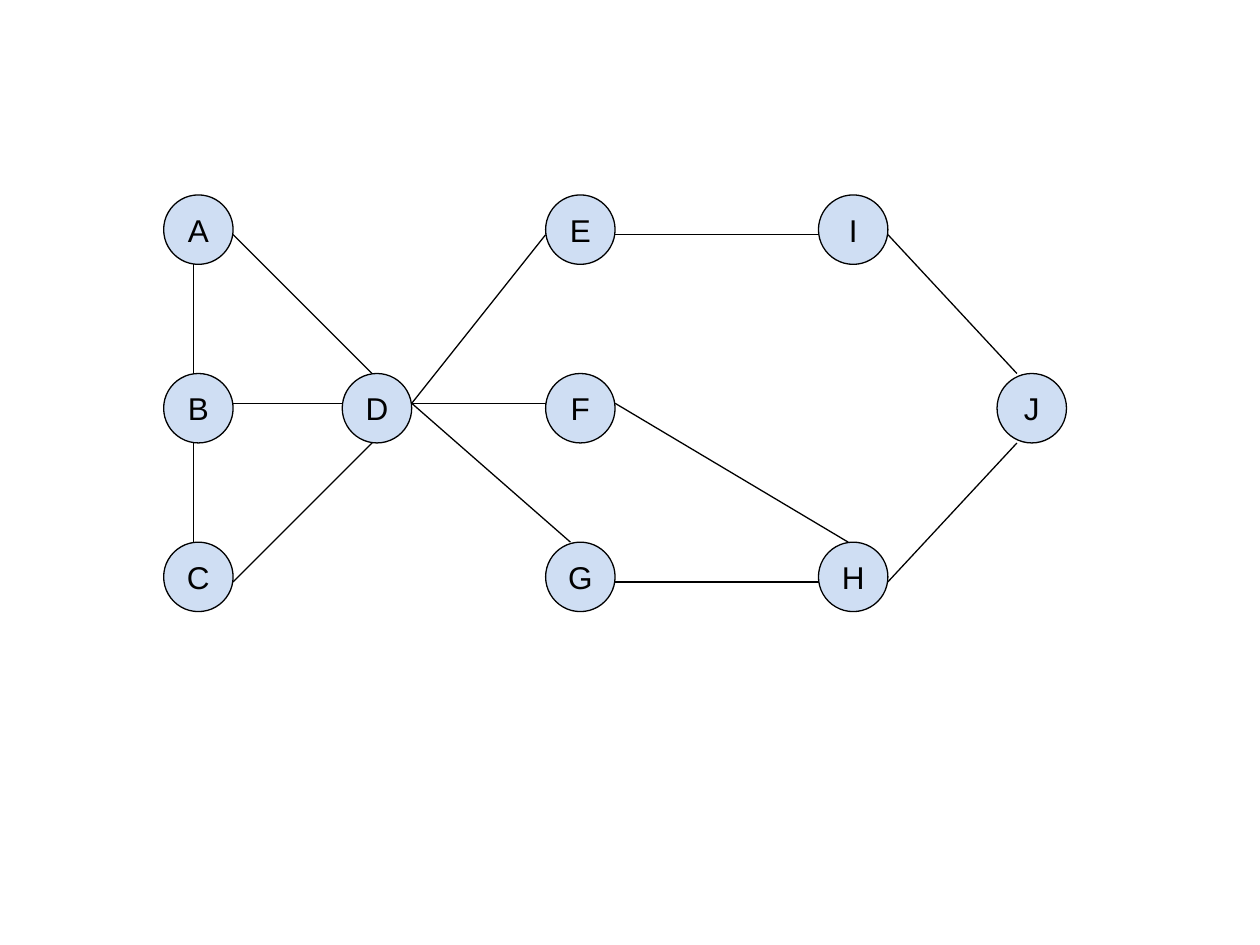
from dataclasses import dataclass

from lxml import etree
from pptx import Presentation
from pptx import util as u
from pptx.dml.color import RGBColor
from pptx.enum import shapes, text
from pptx.oxml import ns


@dataclass(frozen=True)
class Theme:
    node_fill: RGBColor = RGBColor(0xCF, 0xDE, 0xF3)
    ink: RGBColor = RGBColor(0, 0, 0)
    font: str = "Arial"
    label_size: float = 18
    line_width: float = 0.75


# Graph layout, in centimetres
DIAMETER = 1.4
COLUMNS = [3.3, 6.9, 11, 16.5, 20.1]
ROWS = [3.93, 7.53, 10.93]

# Name: (column, row)
NODES = {
    "A": (0, 0), "B": (0, 1), "C": (0, 2), "D": (1, 1), "E": (2, 0),
    "F": (2, 1), "G": (2, 2), "H": (3, 2), "I": (3, 0), "J": (4, 1),
}

# Where edges meet a node: height by row, distance across by node
PORT_Y = [0.8, 0.6, 0.8]
PORT_X = {"G": 0.5, "J": 0.4}
DEFAULT_PORT_X = 0.6

# Start node and side, end node and side
EDGES = [
    ("A", "bottom", "B", "top"),
    ("B", "bottom", "C", "top"),
    ("B", "right", "D", "left"),
    ("A", "right", "D", "top"),
    ("C", "right", "D", "bottom"),
    ("D", "right", "F", "left"),
    ("D", "right", "E", "left"),
    ("D", "right", "G", "top"),
    ("F", "right", "H", "top"),
    ("G", "right", "H", "left"),
    ("E", "right", "I", "left"),
    ("I", "right", "J", "top"),
    ("H", "right", "J", "bottom"),
]


def port(name, side):
    col, row = NODES[name]
    across = PORT_X.get(name, DEFAULT_PORT_X)
    dx, dy = {
        "left": (0, PORT_Y[row]),
        "right": (DIAMETER, PORT_Y[row]),
        "top": (across, 0),
        "bottom": (across, DIAMETER),
    }[side]
    return u.Cm(COLUMNS[col] + dx), u.Cm(ROWS[row] + dy)


class GraphSlide:
    def __init__(self, slide, theme):
        self.s = slide
        self.theme = theme

    def outline(self, sp):
        sp.line.color.rgb = self.theme.ink
        sp.line.width = u.Pt(self.theme.line_width)

    def node(self, name):
        col, row = NODES[name]
        sp = self.s.shapes.add_shape(
            shapes.MSO_SHAPE.OVAL, u.Cm(COLUMNS[col]), u.Cm(ROWS[row]),
            u.Cm(DIAMETER), u.Cm(DIAMETER))
        sp.shadow.inherit = False
        sp.fill.solid()
        sp.fill.fore_color.rgb = self.theme.node_fill
        self.outline(sp)

        # Label
        tf = sp.text_frame
        frame_format = {
            "word_wrap": False,
            "vertical_anchor": text.MSO_ANCHOR.MIDDLE,
        }
        for key, value in frame_format.items():
            setattr(tf, key, value)
        p = tf.paragraphs[0]
        p.alignment = text.PP_ALIGN.CENTER
        r = p.add_run()
        r.text = name
        font_format = {
            "name": self.theme.font,
            "size": u.Pt(self.theme.label_size),
        }
        for key, value in font_format.items():
            setattr(r.font, key, value)
        r.font.color.rgb = self.theme.ink

    def edge(self, start, start_side, end, end_side):
        line = self.s.shapes.add_connector(
            shapes.MSO_CONNECTOR.STRAIGHT,
            *port(start, start_side), *port(end, end_side))
        self.outline(line)
        etree.SubElement(line._element.spPr, ns.qn("a:effectLst"))


def main():
    prs = Presentation()
    prs.slide_width, prs.slide_height = u.Cm(25.4), u.Cm(19.05)
    graph = GraphSlide(prs.slides.add_slide(prs.slide_layouts[6]), Theme())

    # Nodes, then the edges over them
    for name in NODES:
        graph.node(name)
    for edge in EDGES:
        graph.edge(*edge)

    prs.save("out.pptx")


if __name__ == "__main__":
    main()
